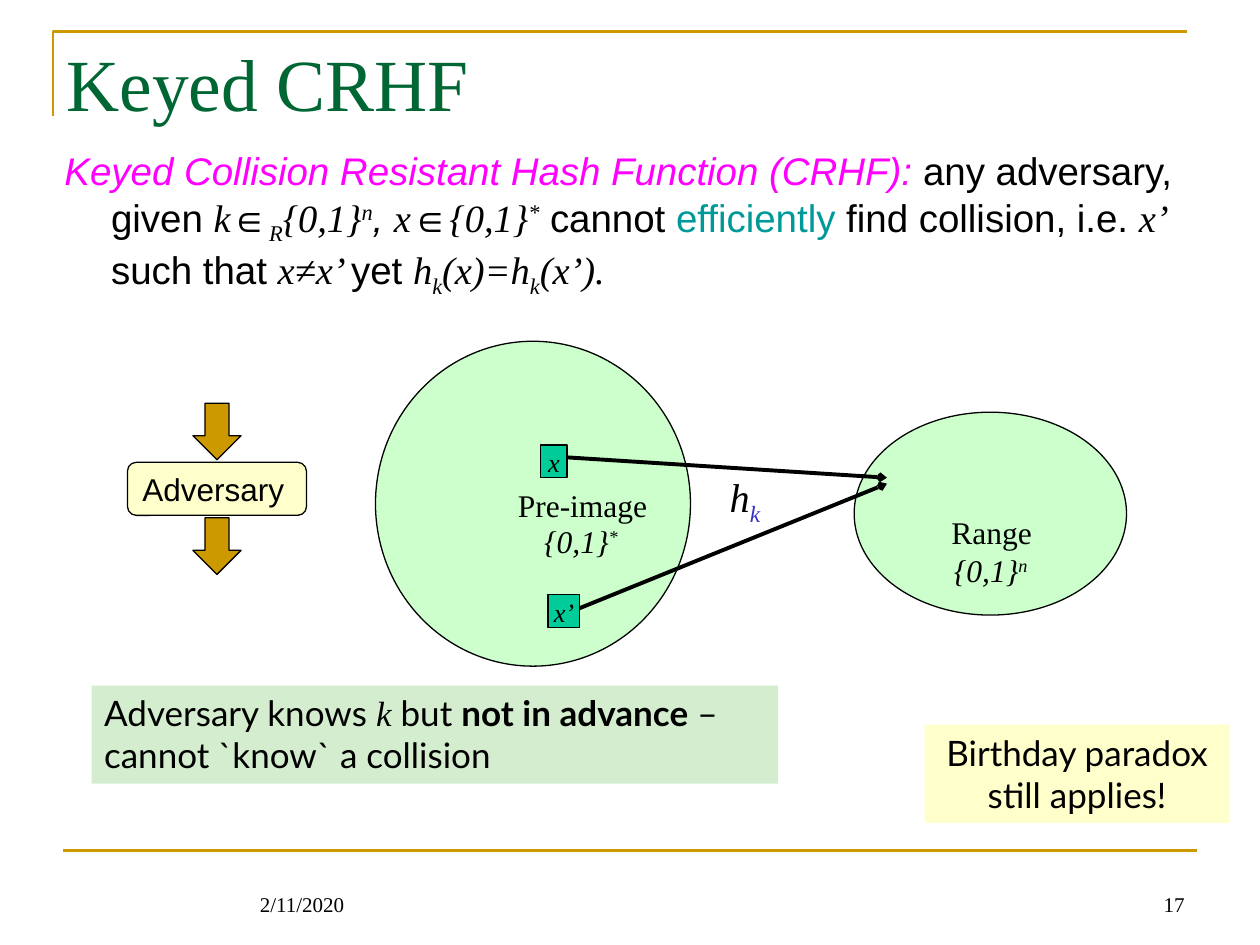
from pptx import Presentation
from pptx import util as u
from pptx.dml.color import RGBColor
from pptx.enum import shapes, text
from pptx.oxml import parse_xml
from pptx.oxml.ns import nsdecls, qn

Cm, Pt = u.Cm, u.Pt
S, A, V = shapes.MSO_SHAPE, text.PP_ALIGN, text.MSO_ANCHOR
COLORS = {"black": "000000", "gold": "CC9900", "title": "006633", "magenta": "FF00FF",
          "teal": "009999", "note": "D3EDCE", "set": "CCFFCC", "item": "00CC99",
          "cream": "FFFFCC", "blue": "3333CC"}
RGB = {name: RGBColor.from_string(value) for name, value in COLORS.items()}
SERIF, SANS, LATO = "Times New Roman", "Arial", "Lato"
MARGINS = {"margin_left": Cm(0.25), "margin_right": Cm(0.25),
           "margin_top": Cm(0.13), "margin_bottom": Cm(0.13)}
NO_MARGINS = dict.fromkeys(MARGINS, 0)
MATH = {"name": SERIF, "italic": True}
SUB, SUP = {**MATH, "base": -25000}, {**MATH, "base": 30000}


def write(tf, runs, size, name, align=A.LEFT, anchor=V.TOP, margins=MARGINS):
    frame = {"word_wrap": True, "auto_size": text.MSO_AUTO_SIZE.NONE,
             "vertical_anchor": anchor, **margins}
    for key, value in frame.items():
        setattr(tf, key, value)
    p = tf.paragraphs[0]
    p.alignment, p.space_before = align, Pt(0)
    for words, changes in runs:
        if words == "\n":
            p.add_line_break()
            continue
        r = p.add_run()
        r.text = words
        fmt = {"size": Pt(size), "name": name, "italic": False, "bold": False,
               "color": "black", "base": 0, **changes}
        r.font.color.rgb = RGB[fmt.pop("color")]
        base = fmt.pop("base")
        for key, value in fmt.items():
            setattr(r.font, key, value)
        if base:
            r.font._element.set("baseline", str(base))
    return p


def style(sp, fill=None, line=None, width=0.75):
    sp.shadow.inherit = False
    for part, color in ((sp.fill, fill), (sp.line.fill, line)):
        if color:
            part.solid()
            part.fore_color.rgb = RGB[color]
        else:
            part.background()
    if line:
        sp.line.width = Pt(width)
    return sp


prs = Presentation()
prs.slide_width, prs.slide_height = Cm(25.4), Cm(19.05)
s = prs.slides.add_slide(prs.slide_layouts[1])
title, body = s.shapes.title, s.placeholders[1]

for sp, box in ((title, (1.09, 0.64, 23.72, 2.04)), (body, (1.05, 2.84, 23.29, 3.07))):
    for key, value in zip(("left", "top", "width", "height"), box):
        setattr(sp, key, Cm(value))

write(title.text_frame, [("Keyed CRHF", {"color": "title"})], 42, SERIF, anchor=V.BOTTOM)
p = write(body.text_frame, [
    ("Keyed Collision Resistant Hash Function (CRHF): ", {"color": "magenta", "italic": True}),
    ("any adversary, given ", {}), ("k", MATH), ("∈", {"italic": True}), ("R", SUB),
    ("{0,1}", MATH), ("n", SUP), (", ", {"italic": True}), ("x", MATH),
    ("∈", {"italic": True}), ("{0,1}", MATH), ("*", SUP), (" cannot ", {}),
    ("efficiently", {"color": "teal"}), (" find collision, i.e. ", {}), ("x’ ", MATH),
    ("such that ", {}), ("x≠x’ ", MATH), ("yet ", {}), ("h", MATH), ("k", SUB),
    ("(x)=h", MATH), ("k", SUB), ("(x’).", MATH)], 22, SANS)
pPr = p._p.get_or_add_pPr()
pPr.set("marL", str(Cm(0.94)))
pPr.set("indent", str(-Cm(0.94)))
pPr.append(parse_xml(f"<a:buNone {nsdecls('a')}/>"))

fb = s.shapes.build_freeform(Cm(1.07), Cm(2.34))
fb.add_line_segments([(Cm(1.07), Cm(0.64)), (Cm(23.93), Cm(0.64))], close=False)
style(fb.convert_to_shape(), line="gold", width=1.5)

for words, left in (("2/11/2020", 1.27), ("17", 18.21)):
    sp = s.shapes.add_textbox(Cm(left), Cm(17.35), Cm(5.92), Cm(1.27))
    write(sp.text_frame, [(words, {})], 12, SERIF, A.RIGHT, V.BOTTOM)

for kind, box, fill, line in (
        (S.OVAL, (7.57, 6.88, 6.35, 6.55), "set", "black"),
        (S.OVAL, (17.22, 8.31, 5.49, 4.09), "set", "black"),
        (S.DOWN_ARROW, (3.89, 8.13, 0.97, 1.14), "gold", "black"),
        (S.DOWN_ARROW, (3.89, 10.44, 0.97, 1.14), "gold", "black")):
    style(s.shapes.add_shape(kind, *map(Cm, box)), fill, line)

for ends, color, width, head in (
        ((1.27, 17.15, 24.13, 17.15), "gold", 1.5, False),
        ((11.43, 9.22, 17.88, 9.63), "black", 2.25, True),
        ((11.66, 12.27, 17.88, 9.75), "black", 2.25, True)):
    c = s.shapes.add_connector(shapes.MSO_CONNECTOR.STRAIGHT, *map(Cm, ends))
    c.line.color.rgb, c.line.width = RGB[color], Pt(width)
    if head:
        c.line._get_or_add_ln().append(
            parse_xml(f'<a:tailEnd {nsdecls("a")} type="arrow" w="sm" len="sm"/>'))
    c._element.spPr.append(c._element.makeelement(qn("a:effectLst")))

for kind, box, fill, line, runs, size, name, align, anchor, margins in (
        (S.RECTANGLE, (10.9, 8.97, 0.53, 0.66), "item", "black",
         [("x", MATH)], 15, SERIF, A.CENTER, V.BOTTOM, NO_MARGINS),
        (S.RECTANGLE, (11.05, 11.99, 0.64, 0.66), "item", "black",
         [("x’", MATH)], 15, SERIF, A.CENTER, V.BOTTOM, NO_MARGINS),
        (S.ROUNDED_RECTANGLE, (2.57, 9.32, 3.61, 1.07), "cream", "black",
         [("Adversary", {})], 18, SANS, A.LEFT, V.MIDDLE, MARGINS),
        (S.RECTANGLE, (1.85, 13.82, 13.84, 1.98), "note", None,
         [("Adversary knows ", {}), ("k", MATH), (" but ", {}),
          ("not in advance", {"bold": True}), (" – cannot `know` a collision", {})],
         20, LATO, A.LEFT, V.TOP, MARGINS),
        (S.RECTANGLE, (18.64, 14.61, 6.15, 1.98), "cream", None,
         [("Birthday paradox", {}), ("\n", {}), ("still applies!", {})],
         20, LATO, A.CENTER, V.TOP, MARGINS)):
    sp = style(s.shapes.add_shape(kind, *map(Cm, box)), fill, line)
    write(sp.text_frame, runs, size, name, align, anchor, margins)

for box, runs, size in (
        ((10.44, 9.8, 2.8, 0.76), [("Pre-image", {})], 18),
        ((10.97, 10.52, 1.8, 0.76), [("{0,1}", MATH), ("*", SUP)], 18),
        ((19.18, 10.34, 1.9, 0.76), [("Range", {})], 18),
        ((19.23, 11.1, 1.8, 0.76), [("{0,1}", MATH), ("n", SUP)], 18),
        ((14.71, 9.53, 0.9, 0.97), [("h", MATH), ("k", {**SUB, "color": "blue"})], 23)):
    sp = s.shapes.add_textbox(*map(Cm, box))
    write(sp.text_frame, runs, size, SERIF, margins=NO_MARGINS)

prs.save("out.pptx")
